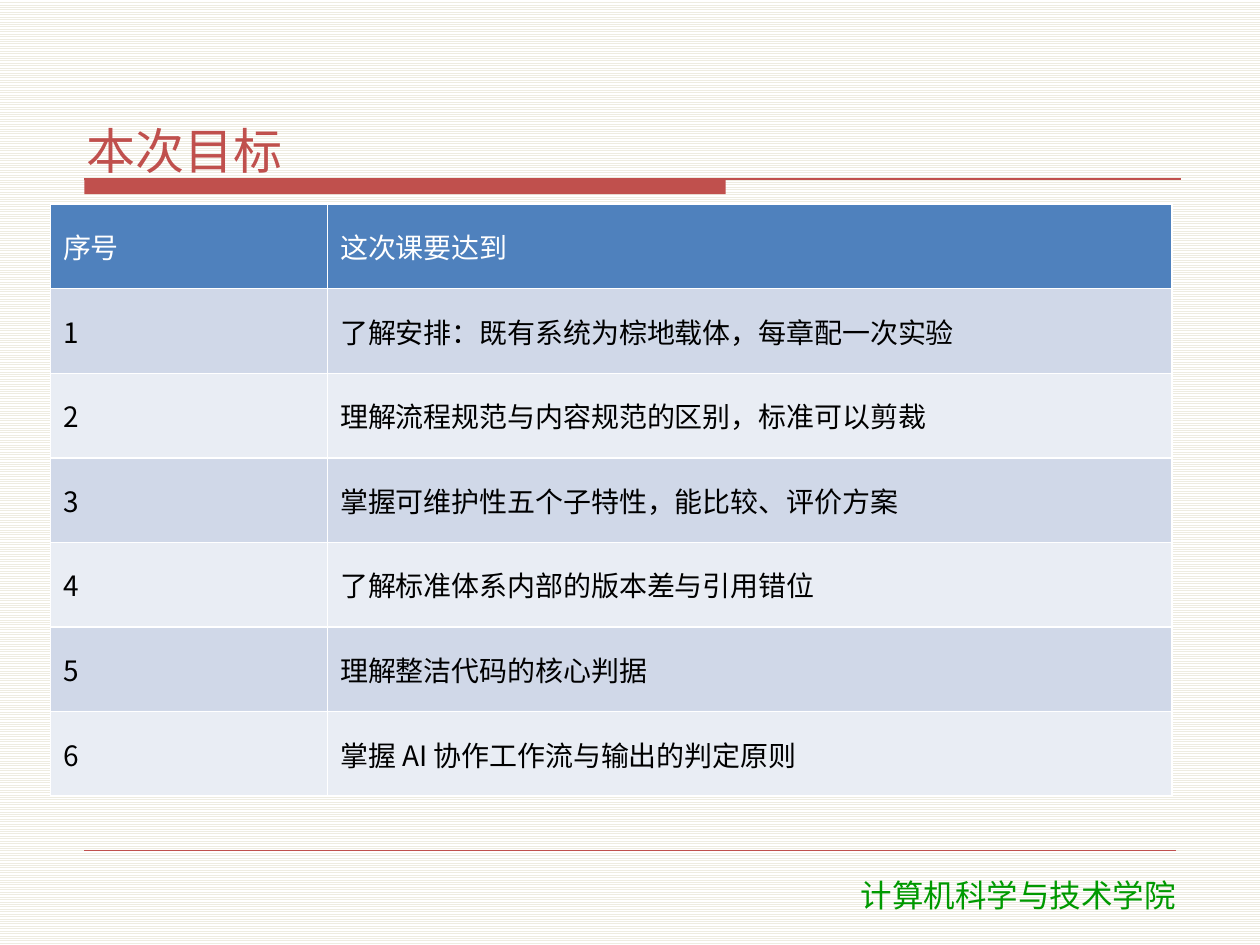
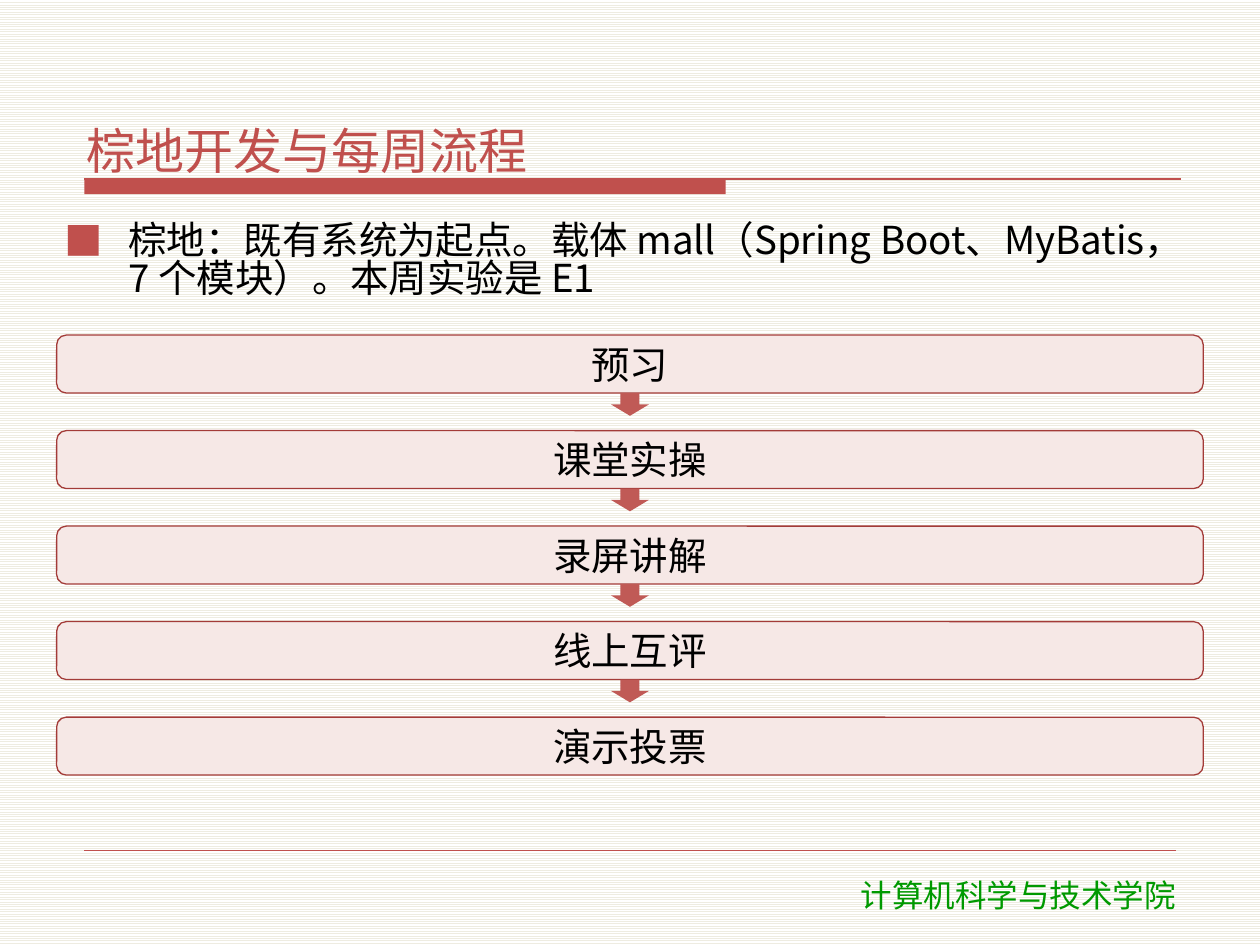
from lxml.etree import SubElement
from pptx import Presentation
from pptx.dml.color import RGBColor
from pptx.enum.dml import MSO_PATTERN
from pptx.enum.shapes import MSO_CONNECTOR, MSO_SHAPE
from pptx.enum.text import MSO_ANCHOR, MSO_AUTO_SIZE, PP_ALIGN
from pptx.oxml.ns import qn
from pptx.util import Inches, Pt

# Shared style
COLUMNS, ROWS = 100, 75
TITLE_ONLY, TITLE_AND_BODY = 5, 1
MAIN_FONT, FOOTER_FONT = "Noto Sans CJK SC", "DejaVu Sans"
RED, GREEN, BLACK, WHITE = "C0504D", "009900", "000000", "FFFFFF"
HEADER_FILL, ROW_FILLS = "4F81BD", ("D0D8E8", "E9EDF4")
STEP_FILL, STEP_LINE, ARROW_FILL = "F6E8E6", "A33B38", "C05A56"
FOOTER = "计算机科学与技术学院"


def color(hex_string):
    return RGBColor.from_string(hex_string)


class Slides:
    """Style and current page; lengths are columns and rows of the grid."""

    def __init__(self):
        self.deck = Presentation()
        self.deck.slide_width, self.deck.slide_height = Inches(10), Inches(7.5)
        self.column = self.deck.slide_width / COLUMNS
        self.row = self.deck.slide_height / ROWS
        self.page = None
        fill = self.deck.slide_master.background.fill
        fill.patterned()
        fill.pattern = MSO_PATTERN.LIGHT_HORIZONTAL
        fill.fore_color.rgb, fill.back_color.rgb = color("EEECE1"), color(WHITE)

    def place(self, left, top, width, height):
        return (round(left * self.column), round(top * self.row),
                round(width * self.column), round(height * self.row))

    def add_page(self, layout, title):
        self.page = self.deck.slides.add_slide(self.deck.slide_layouts[layout])
        # Title band and rules
        self.shape(MSO_SHAPE.RECTANGLE, (6.7, 14.2, 50.9, 1.2), RED)
        self.rule(6.7, 93.7, 14.2, 0.75)
        self.rule(6.7, 93.3, 67.5, 0.25)
        # Footer and title
        footer = self.page.shapes.add_textbox(*self.place(61.6, 69, 38.4, 4))
        self.set_text(footer.text_frame, FOOTER, 18, GREEN, PP_ALIGN.CENTER, FOOTER_FONT)
        self.placeholder(0, (6.3, 3.3, 87.5, 10.9), title, 28, RED, MSO_ANCHOR.BOTTOM)

    def set_text(self, frame, text, size, ink, align=PP_ALIGN.LEFT, font=MAIN_FONT,
                 anchor=MSO_ANCHOR.MIDDLE):
        frame.word_wrap, frame.auto_size = True, MSO_AUTO_SIZE.NONE
        frame.vertical_anchor = anchor
        frame.margin_left = frame.margin_right = Inches(0.06)
        frame.margin_top = frame.margin_bottom = 0
        frame.text = text
        self.style_paragraph(frame.paragraphs[0], size, ink, align, font)
        return frame.paragraphs[0]

    def style_paragraph(self, para, size, ink, align=PP_ALIGN.LEFT, font=MAIN_FONT):
        para.alignment = align
        para.space_before = para.space_after = 0
        para.font.size, para.font.name = Pt(size), font
        para.font.color.rgb = color(ink)
        defaults = para._p.pPr.find(qn("a:defRPr"))
        SubElement(defaults, qn("a:ea"), typeface=font)

    def placeholder(self, index, area, text, size, ink, anchor):
        box = self.page.placeholders[index]
        box.left, box.top, box.width, box.height = self.place(*area)
        return self.set_text(box.text_frame, text, size, ink, anchor=anchor)

    def bullet(self, area, text):
        para = self.placeholder(1, area, text, 22, BLACK, MSO_ANCHOR.TOP)
        para.line_spacing = 0.82
        properties = para._p.pPr
        properties.set("marL", str(Inches(0.51)))
        properties.set("indent", str(-Inches(0.51)))
        defaults = properties.find(qn("a:defRPr"))
        bullet_color = SubElement(properties, qn("a:buClr"))
        SubElement(bullet_color, qn("a:srgbClr"), val=RED)
        SubElement(properties, qn("a:buFont"), typeface=MAIN_FONT)
        SubElement(properties, qn("a:buChar"), char="■")
        properties.append(defaults)

    def shape(self, kind, area, fill, line=None):
        shape = self.page.shapes.add_shape(kind, *self.place(*area))
        shape.shadow.inherit = False
        shape.fill.solid()
        shape.fill.fore_color.rgb = color(fill)
        if line:
            shape.line.color.rgb, shape.line.width = color(line), Pt(0.75)
        else:
            shape.line.fill.background()
        return shape

    def rule(self, left, right, top, weight):
        x, y, width, _ = self.place(left, top, right - left, 0)
        line = self.page.shapes.add_connector(MSO_CONNECTOR.STRAIGHT, x, y, x + width, y)
        line.line.color.rgb, line.line.width = color(RED), Pt(weight)
        SubElement(line._element.spPr, qn("a:effectLst"))

    def table(self, area, widths, records):
        frame = self.page.shapes.add_table(len(records), len(widths), *self.place(*area))
        for column, width in zip(frame.table.columns, widths):
            column.width = round(width * self.column)
        for number, record in enumerate(records):
            fill = ROW_FILLS[(number - 1) % 2] if number else HEADER_FILL
            for index, text in enumerate(record):
                self.cell(frame.table.cell(number, index), text, fill,
                          BLACK if number else WHITE)

    def cell(self, cell, text, fill, ink):
        cell.text, cell.vertical_anchor = text, MSO_ANCHOR.MIDDLE
        self.style_paragraph(cell.text_frame.paragraphs[0], 16, ink)
        cell.text_frame.paragraphs[0].font.bold = False
        for side in ("lnL", "lnR", "lnT", "lnB"):
            border = SubElement(cell._tc.get_or_add_tcPr(), qn(f"a:{side}"), w=str(Pt(1)))
            SubElement(SubElement(border, qn("a:solidFill")), qn("a:srgbClr"), val=WHITE)
        cell.fill.solid()
        cell.fill.fore_color.rgb = color(fill)

    def flow(self, steps, left, top, width, height, pitch):
        for number, step in enumerate(steps):
            step_top = top + number * pitch
            if number:
                arrow_area = (left + width / 2 - 1.5, step_top - pitch + height, 3, 1.8)
                self.shape(MSO_SHAPE.DOWN_ARROW, arrow_area, ARROW_FILL)
            box = self.shape(MSO_SHAPE.ROUNDED_RECTANGLE,
                             (left, step_top, width, height), STEP_FILL, STEP_LINE)
            self.set_text(box.text_frame, step, 22, BLACK, PP_ALIGN.CENTER)


def main():
    slides = Slides()

    # Goals of the lesson
    goals = [
        "了解安排：既有系统为棕地载体，每章配一次实验",
        "理解流程规范与内容规范的区别，标准可以剪裁",
        "掌握可维护性五个子特性，能比较、评价方案",
        "了解标准体系内部的版本差与引用错位",
        "理解整洁代码的核心判据",
        "掌握 AI 协作工作流与输出的判定原则",
    ]
    slides.add_page(TITLE_ONLY, "本次目标")
    records = [("序号", "这次课要达到")]
    records += [(str(number), goal) for number, goal in enumerate(goals, 1)]
    slides.table((4, 16.2, 89, 47), (22, 67), records)

    # Weekly workflow
    slides.add_page(TITLE_AND_BODY, "棕地开发与每周流程")
    slides.bullet((4.5, 17.8, 91, 8),
                  "棕地：既有系统为起点。载体 mall（Spring Boot、MyBatis，7 个模块）。本周实验是 E1")
    slides.flow(("预习", "课堂实操", "录屏讲解", "线上互评", "演示投票"),
                left=4.5, top=26.6, width=91, height=4.6, pitch=7.58)

    slides.deck.save("out.pptx")


if __name__ == "__main__":
    main()
